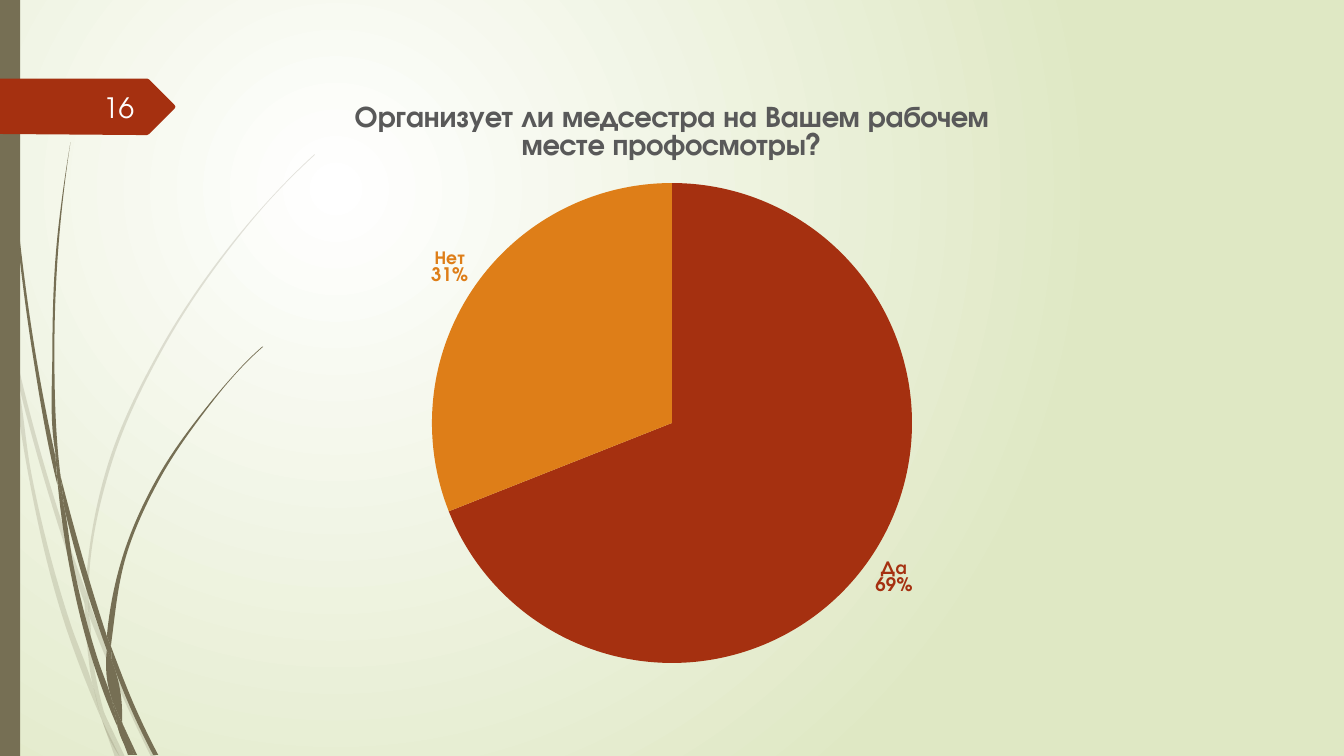
from math import dist

from lxml.etree import SubElement
from pptx import Presentation
from pptx.chart.data import CategoryChartData
from pptx.dml.color import RGBColor
from pptx.enum.chart import XL_CHART_TYPE, XL_LABEL_POSITION
from pptx.enum.shapes import MSO_SHAPE
from pptx.enum.text import MSO_ANCHOR, PP_ALIGN
from pptx.oxml.ns import qn
from pptx.util import Cm, Pt

FONT = "TeX Gyre Adventor"
OLIVE = RGBColor(0x76, 0x6F, 0x54)
RED = RGBColor(0xA5, 0x30, 0x10)
ORANGE = RGBColor(0xDE, 0x7E, 0x18)
GREY = RGBColor(0x59, 0x59, 0x59)
PALE = RGBColor(0xDF, 0xE8, 0xC4)
WHITE = RGBColor(0xFF, 0xFF, 0xFF)
NUMBER_WHITE = RGBColor(0xFE, 0xFF, 0xFF)

QUESTION = "Организует ли медсестра на Вашем рабочем месте профосмотры?"
ANSWERS = [("Да", 69, RED), ("Нет", 31, ORANGE)]
PAGE = "16"
PIE_LAYOUT = {"x": 0.232, "y": 0.173, "w": 0.536, "h": 0.803}

FAINT_BLADES = [
    [[(0.11, 3.5), (0.09, 3.22), (0, 2.82)], [(0, 2.99), (0.1, 3.44), (0.11, 3.5)]],
    [[(0.14, 3.45), (0.62, 5.2), (0.85, 5.86)],
     [(0.84, 5.99), (0.58, 5.22), (0.17, 3.76)]],
    [[(0.88, 5.96), (0.92, 6.07), (1.27, 6.92), (1.55, 7.51)],
     [(1.5, 7.51), (1.23, 6.94), (0.88, 6.1)]],
    [[(1.19, 7.51), (1.24, 7.51)], [(1.05, 7.11), (1.19, 7.51)]],
    [[(0.11, 3.5), (0.28, 4.7), (0.65, 6.21), (0.92, 6.93), (1.01, 7.14)],
     [(0.99, 7.07), (0.93, 6.83), (0.7, 6.19), (0.31, 4.69), (0.17, 3.76), (0.11, 3.5)]],
    [[(0.84, 5.99), (0.87, 6.46), (0.93, 6.83), (0.96, 6.92), (1.05, 7.11)],
     [(1.03, 7.06), (0.91, 6.46), (0.88, 6.1), (0.84, 5.99)]],
    [[(0.88, 5.96), (0.88, 5.84), (1.1, 4.62), (1.6, 3.49), (2.29, 2.45), (2.68, 1.98),
      (2.9, 1.75), (3.12, 1.54)],
     [(3.12, 1.53), (2.89, 1.75), (2.68, 1.97), (2.28, 2.44), (1.58, 3.48), (1.07, 4.61),
      (0.85, 5.84)]],
    [[(1.01, 7.14), (1.14, 7.51)], [(1.19, 7.51), (1.01, 7.14)]],
    [[(0.88, 6.1), (0.88, 5.96), (0.85, 5.86)], [(0.84, 5.99), (0.88, 6.08)]],
    [[(0.93, 6.83), (0.99, 7.07), (1.01, 7.14), (1.19, 7.51)],
     [(1.05, 7.11), (0.96, 6.92), (0.93, 6.83)]],
]
SOLID_BLADES = [
    [[(0.03, 0), (0.04, 0.48), (0.07, 1.1), (0.17, 2.33), (0.33, 3.55), (0.56, 4.77),
      (0.57, 4.81)],
     [(0.55, 4.53), (0.36, 3.55), (0.19, 2.32), (0.08, 1.09), (0.05, 0.48), (0.04, 0)]],
    [[(0.6, 4.72), (0.93, 5.9), (1.06, 6.31)],
     [(1.06, 6.45), (0.88, 5.92), (0.64, 5.05)]],
    [[(1.1, 6.41), (1.13, 6.49), (1.36, 7.06), (1.57, 7.49)],
     [(1.52, 7.49), (1.32, 7.08), (1.11, 6.56)]],
    [[(0.57, 4.77), (0.68, 5.57), (0.93, 6.59), (1.11, 7.08), (1.17, 7.22)],
     [(1.16, 7.17), (1.1, 6.91), (0.98, 6.57), (0.72, 5.56), (0.64, 5.05), (0.57, 4.77)]],
    [[(0.6, 4.72), (0.58, 4.53), (0.54, 3.49), (0.58, 2.45), (0.63, 1.93), (0.7, 1.41)],
     [(0.7, 1.41), (0.62, 1.93), (0.56, 2.45), (0.52, 3.49), (0.55, 4.49), (0.6, 4.72)]],
    [[(1.33, 7.49), (1.36, 7.49)], [(1.22, 7.19), (1.33, 7.49)]],
    [[(0.57, 4.77), (0.64, 5.05)], [(0.6, 4.72), (0.55, 4.49)], [(0.55, 4.53), (0.57, 4.77)]],
    [[(1.1, 6.41), (1.11, 6.33), (1.25, 5.52), (1.58, 4.76), (2.05, 4.06), (2.31, 3.74),
      (2.45, 3.59), (2.61, 3.44)],
     [(2.6, 3.44), (2.45, 3.58), (2.31, 3.73), (2.04, 4.05), (1.56, 4.74), (1.22, 5.51),
      (1.06, 6.31)]],
    [[(1.17, 7.22), (1.27, 7.49)], [(1.31, 7.49), (1.17, 7.22)]],
    [[(1.06, 6.45), (1.1, 6.91), (1.16, 7.06), (1.22, 7.19)],
     [(1.21, 7.16), (1.11, 6.56), (1.06, 6.45)]],
    [[(1.06, 6.45), (1.11, 6.56)], [(1.1, 6.41), (1.06, 6.31)]],
    [[(1.1, 6.91), (1.16, 7.17), (1.17, 7.22), (1.3, 7.49)],
     [(1.33, 7.49), (1.22, 7.19), (1.16, 7.06), (1.1, 6.91)]],
]
TAG = [(0, 0.78), (1.46, 0.78), (1.48, 0.79), (1.73, 1.04), (1.74, 1.06),
       (1.73, 1.08), (1.48, 1.33), (1.46, 1.34), (1.36, 1.34), (0, 1.33)]


def inch(x):
    return Cm(2.54 * x)


def box(*lengths):
    return [inch(x) for x in lengths]


def bezier(side):
    gaps = [dist(a, b) for a, b in zip(side, side[1:])]
    slopes = [[(q - p) / gap for p, q in zip(a, b)]
              for a, b, gap in zip(side, side[1:], gaps)]
    inner = [[(u * h + v * g) / (g + h) for u, v in zip(m, n)]
             for m, n, g, h in zip(slopes, slopes[1:], gaps, gaps[1:])]
    first, last = (inner[0], inner[-1]) if inner else (slopes[0], slopes[0])
    tangents = [[2 * u - v for u, v in zip(slopes[0], first)], *inner,
                [2 * u - v for u, v in zip(slopes[-1], last)]]
    points = [side[0]]
    for a, b, m, n, gap in zip(side, side[1:], tangents, tangents[1:], gaps):
        points.append([p + u * gap / 3 for p, u in zip(a, m)])
        points.append([p - u * gap / 3 for p, u in zip(b, n)])
        points.append(b)
    return points


def paint(sp, color):
    sp.shadow.inherit = False
    sp.fill.solid()
    sp.fill.fore_color.rgb = color
    sp.line.fill.background()


def add_outline(shapes, points, color):
    start, *rest = [box(*point) for point in points]
    builder = shapes.build_freeform(*start)
    builder.add_line_segments(rest, close=True)
    sp = builder.convert_to_shape()
    paint(sp, color)
    return sp


def bend(sp, sides):
    nodes = iter(list(sp._element.spPr.find(".//" + qn("a:path"))))
    for side in sides:
        next(nodes)
        for _ in side[1:]:
            curve, *others = [next(nodes) for _ in range(3)]
            curve.tag = qn("a:cubicBezTo")
            for node in others:
                curve.append(node[0])
                node.getparent().remove(node)


def add_blades(s, blades, opacity):
    group = s.shapes.add_group_shape()
    for sides in blades:
        points = [point for side in sides for point in bezier(side)]
        sp = add_outline(group.shapes, points, OLIVE)
        bend(sp, sides)
        if opacity < 100:
            color = sp._element.spPr.find(".//" + qn("a:srgbClr"))
            SubElement(color, qn("a:alpha"), val=str(opacity * 1000))


def set_background(s):
    fill = s.background.fill
    fill.gradient()
    for stop, color in zip(fill.gradient_stops, (WHITE, PALE)):
        stop.color.rgb = color
    grad = s._element.find(".//" + qn("a:gradFill"))
    grad.remove(grad.find(qn("a:lin")))
    circle = SubElement(grad, qn("a:path"), path="circle")
    SubElement(circle, qn("a:fillToRect"), l="50000", t="50000", r="100000", b="100000")


def set_font(font, size, color, bold=False):
    font.name = FONT
    font.size = Pt(size)
    font.color.rgb = color
    font.bold = bold


def add_pie(s):
    data = CategoryChartData()
    data.categories = [name for name, _, _ in ANSWERS]
    data.add_series(QUESTION, [value for _, value, _ in ANSWERS])
    chart = s.shapes.add_chart(XL_CHART_TYPE.PIE, *box(2.22, 0.79, 8.89, 5.93), data).chart
    chart.font.name, chart.font.size = FONT, Pt(10)
    chart.has_legend = False
    r = chart.chart_title.text_frame.paragraphs[0].add_run()
    r.text = QUESTION
    set_font(r.font, 21.28, GREY, True)

    plot = chart.plots[0]
    plot.vary_by_categories = True
    series = plot.series[0]
    for i, (_, _, color) in enumerate(ANSWERS):
        point = series.points[i]
        point.format.fill.solid()
        point.format.fill.fore_color.rgb = color
        point.format.line.fill.background()
        set_font(point.data_label.font, 13.3, color, True)
        point.data_label.position = XL_LABEL_POSITION.OUTSIDE_END
    labels = series.data_labels
    labels.position = XL_LABEL_POSITION.OUTSIDE_END
    group = labels._element
    for label in [group, *group.findall(qn("c:dLbl"))]:
        for name, shown in (("showVal", "0"), ("showCatName", "1"), ("showPercent", "1")):
            label.find(qn("c:" + name)).set("val", shown)
        separator = SubElement(label, qn("c:separator"))
        separator.text = "\n"
        label.find(qn("c:showPercent")).getnext().addnext(separator)

    area = chart._chartSpace.find(".//" + qn("c:plotArea"))
    layout = area.find(qn("c:layout"))
    if layout is None:
        layout = SubElement(area, qn("c:layout"))
        area.insert(0, layout)
    manual = SubElement(layout, qn("c:manualLayout"))
    SubElement(manual, qn("c:layoutTarget"), val="inner")
    for key in "xy":
        SubElement(manual, qn(f"c:{key}Mode"), val="edge")
    for key, value in PIE_LAYOUT.items():
        SubElement(manual, qn("c:" + key), val=str(value))


prs = Presentation()
prs.slide_width, prs.slide_height = box(13.33, 7.5)
s = prs.slides.add_slide(prs.slide_layouts[6])
set_background(s)
add_blades(s, FAINT_BLADES, 20)
add_blades(s, SOLID_BLADES, 100)
paint(s.shapes.add_shape(MSO_SHAPE.RECTANGLE, *box(0, 0, 0.2, 7.5)), OLIVE)
add_outline(s.shapes, TAG, RED)
tf = s.shapes.add_textbox(*box(0.58, 0.86, 0.85, 0.4)).text_frame
tf.word_wrap = True
tf.vertical_anchor = MSO_ANCHOR.MIDDLE
p = tf.paragraphs[0]
p.alignment = PP_ALIGN.RIGHT
r = p.add_run()
r.text = PAGE
set_font(r.font, 20, NUMBER_WHITE)
add_pie(s)
prs.save("out.pptx")
